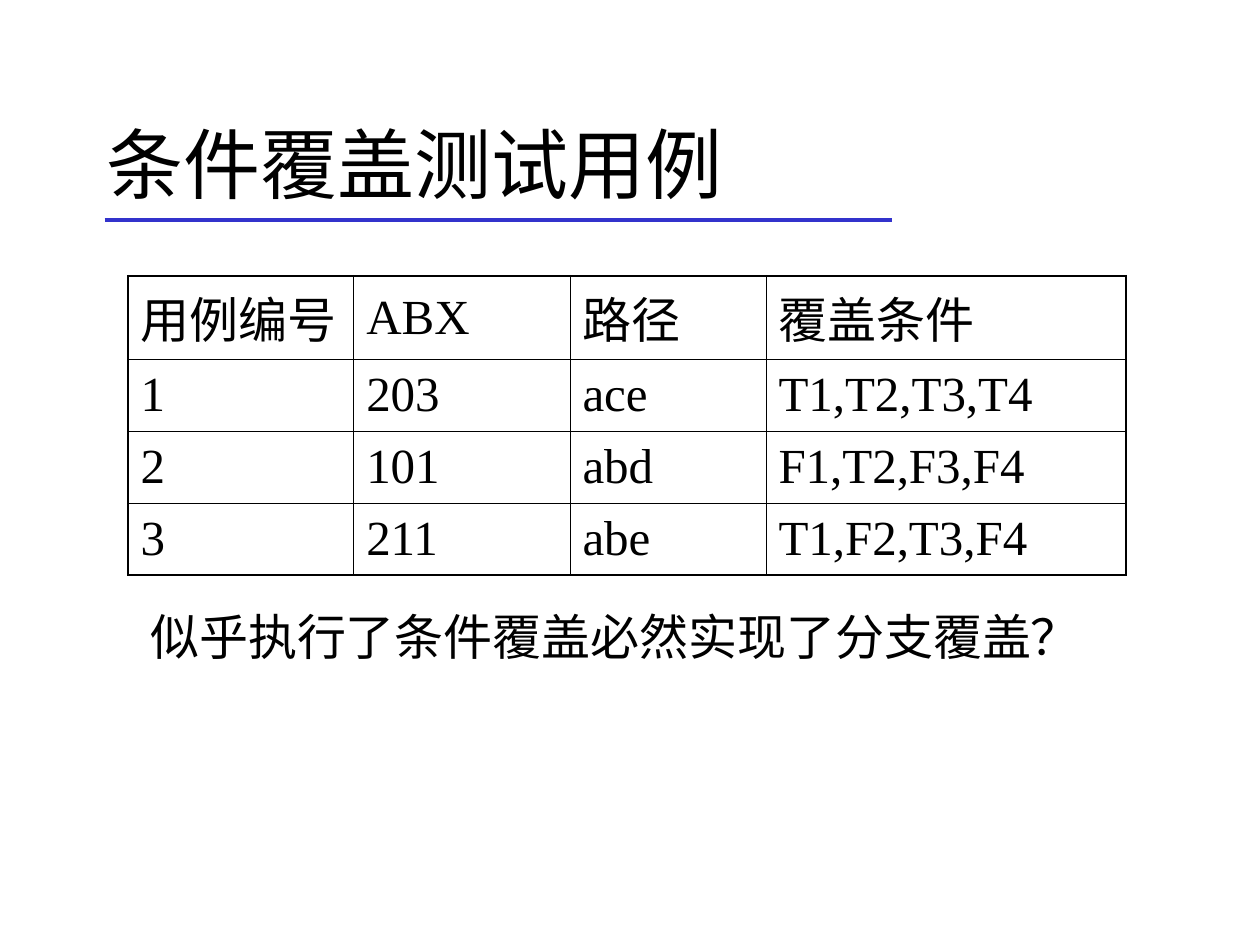
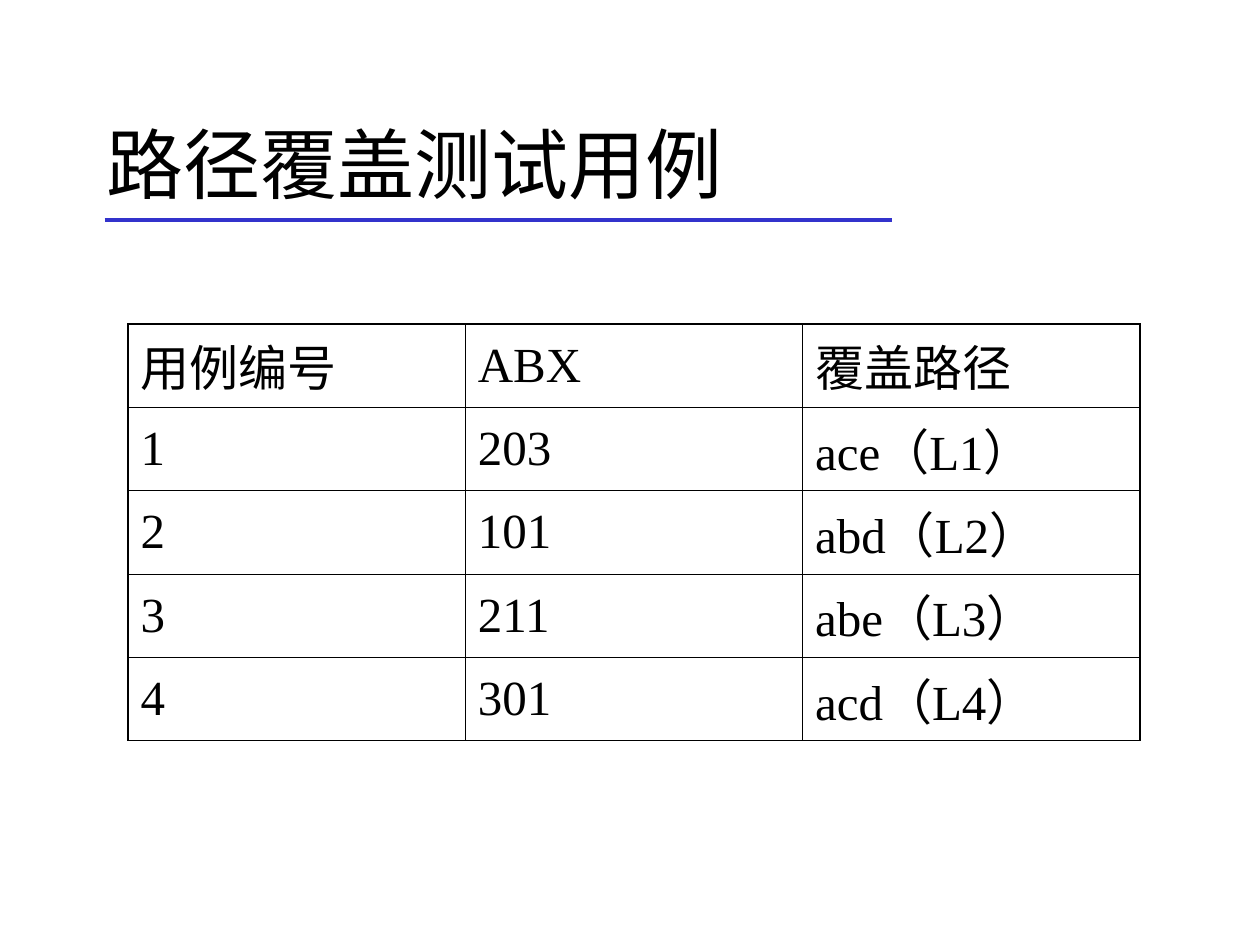
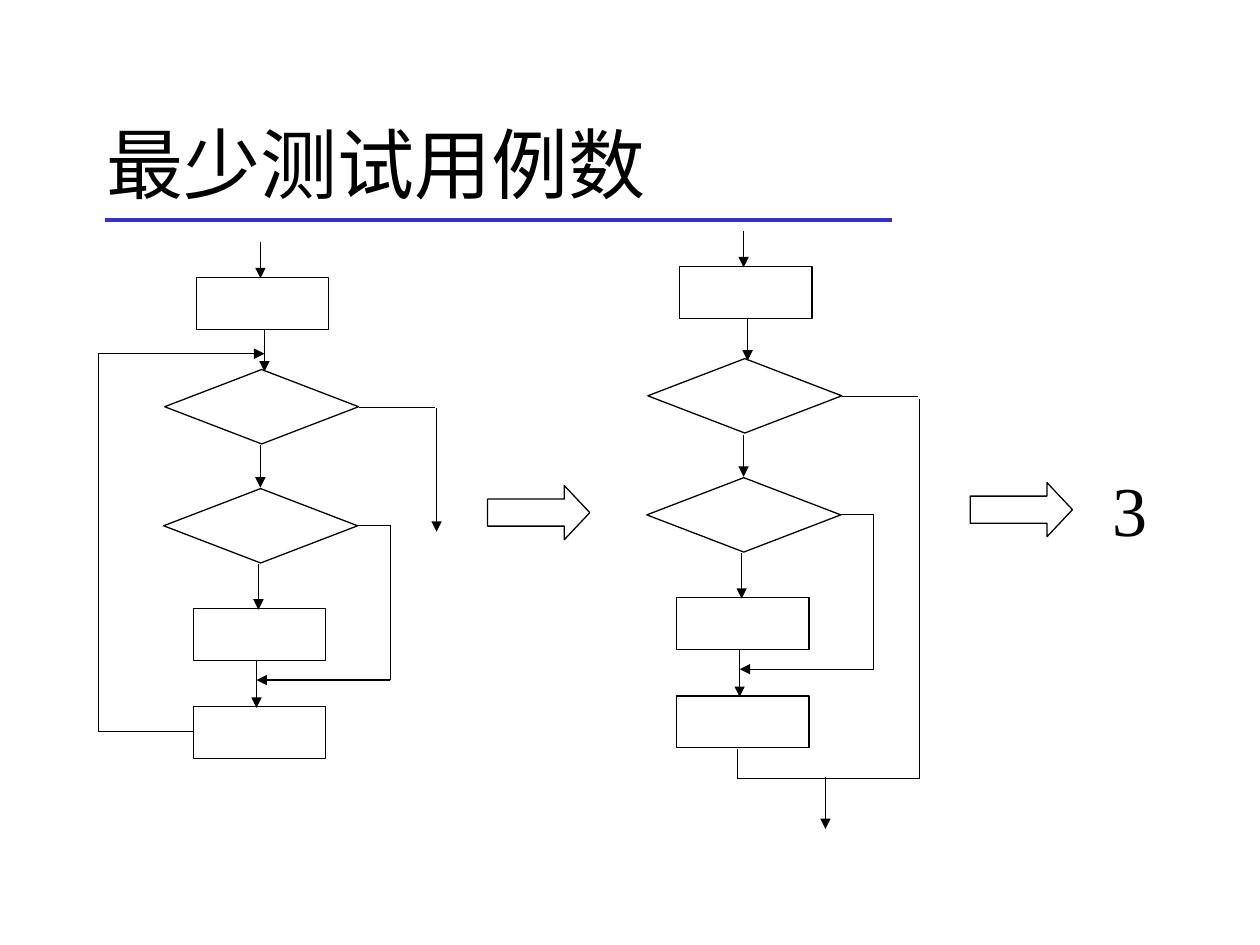
from dataclasses import dataclass

from lxml import etree
from pptx import Presentation
from pptx.dml.color import RGBColor
from pptx.enum.shapes import MSO_CONNECTOR, MSO_SHAPE
from pptx.enum.text import MSO_ANCHOR, PP_ALIGN
from pptx.oxml.ns import qn
from pptx.presentation import Presentation as Deck
from pptx.slide import Slide
from pptx.table import _Cell as Cell
from pptx.text.text import _Paragraph as Para
from pptx.util import Cm, Pt

BLACK = RGBColor(0x00, 0x00, 0x00)
WHITE = RGBColor(0xFF, 0xFF, 0xFF)
BLUE = RGBColor(0x33, 0x33, 0xCC)
SERIF = "Times New Roman"
SANS = "Noto Sans CJK SC"
LINE = MSO_CONNECTOR.STRAIGHT
RECT = MSO_SHAPE.RECTANGLE
DIAMOND = MSO_SHAPE.DIAMOND
ARROW = MSO_SHAPE.RIGHT_ARROW
MIDDLE = MSO_ANCHOR.MIDDLE
TOP = MSO_ANCHOR.TOP
LEFT = PP_ALIGN.LEFT
JUSTIFY = PP_ALIGN.JUSTIFY
THIN, THICK = 0.45, 1.08
LOW, TALL = 1.45, 1.68

Point = tuple[float, float]


@dataclass(frozen=True)
class Box:
    left: float
    top: float
    width: float
    height: float


@dataclass(frozen=True)
class Node:
    kind: MSO_SHAPE
    left: float
    top: float


@dataclass(frozen=True)
class Route:
    """A chain of straight lines, with an arrowhead on the last if tip is set."""
    points: tuple[Point, ...]
    tip: bool = True


@dataclass(frozen=True)
class Grid:
    left: float
    top: float
    cols: tuple[float, ...]
    rows: tuple[tuple[str, ...], ...]


SIZES = {RECT: (2.67, 1.04), DIAMOND: (3.91, 1.5), ARROW: (2.06, 1.09)}
TITLE = Box(1.9, 1.7, 21.6, 3.18)
RULE = Route(((2.11, 4.44), (17.99, 4.44)), tip=False)

TESTS = Grid(2.58, 5.56, (4.55, 4.36, 3.95, 7.26), (
    ("用例编号", "ABX", "路径", "覆盖条件"),
    ("1", "203", "ace", "T1,T2,T3,T4"),
    ("2", "101", "abd", "F1,T2,F3,F4"),
    ("3", "211", "abe", "T1,F2,T3,F4"),
))
PATHS = Grid(2.58, 6.53, (6.8,) * 3, (
    ("用例编号", "ABX", "覆盖路径"),
    ("1", "203", "ace（L1）"),
    ("2", "101", "abd（L2）"),
    ("3", "211", "abe（L3）"),
    ("4", "301", "acd（L4）"),
))

# The flow that both charts share, placed for the left chart
NODES = (
    Node(RECT, 3.96, 5.6),
    Node(DIAMOND, 3.32, 7.45),
    Node(DIAMOND, 3.3, 9.85),
    Node(RECT, 3.9, 12.27),
    Node(RECT, 3.9, 14.25),
)
FLOW = (
    Route(((5.25, 4.87), (5.25, 5.61))),
    Route(((5.33, 6.65), (5.33, 7.49))),
    Route(((5.25, 8.98), (5.25, 9.83))),
    Route(((5.21, 11.36), (5.21, 12.29))),
    Route(((5.17, 13.31), (5.17, 14.27))),
    Route(((7.24, 8.22), (8.76, 8.22)), tip=False),
    Route(((7.21, 10.59), (7.87, 10.59), (7.87, 13.71), (5.17, 13.71))),
)
SHIFT = (9.74, -0.22)
LOOP = (
    Route(((8.8, 8.22), (8.8, 10.72))),
    Route(((3.89, 14.75), (1.98, 14.75), (1.98, 7.13), (5.33, 7.13))),
)
MERGE = (
    Route(((18.54, 8.05), (18.54, 15.7), (14.87, 15.7), (14.87, 15.09)),
          tip=False),
    Route(((16.64, 15.67), (16.64, 16.71))),
)
STEPS = (Node(ARROW, 9.83, 9.79), Node(ARROW, 19.56, 9.73))


def style(para: Para, size: float, face: str) -> None:
    font = para.font
    font.size = Pt(size)
    font.name = face
    font.color.rgb = BLACK
    props = para._p.pPr.find(qn("a:defRPr"))
    etree.SubElement(props, qn("a:ea")).set("typeface", SANS)


def write(slide: Slide, box: Box, text: str, size: float, face: str = SERIF,
          anchor: MSO_ANCHOR = TOP, align: PP_ALIGN = LEFT) -> None:
    frame = slide.shapes.add_textbox(
        Cm(box.left), Cm(box.top), Cm(box.width), Cm(box.height)).text_frame
    frame.word_wrap = True
    frame.vertical_anchor = anchor
    para = frame.paragraphs[0]
    para.text = text
    para.alignment = align
    style(para, size, face)


def trace(slide: Slide, route: Route, color: RGBColor = BLACK,
          width: float = 0.75, shift: Point = (0, 0)) -> None:
    dx, dy = shift
    spots = [(Cm(x + dx), Cm(y + dy)) for x, y in route.points]
    for start, end in zip(spots, spots[1:]):
        link = slide.shapes.add_connector(LINE, *start, *end)
        link.line.color.rgb = color
        link.line.width = Pt(width)
        etree.SubElement(link._element.spPr, qn("a:effectLst"))
    if route.tip:
        head = etree.SubElement(link.line._get_or_add_ln(), qn("a:tailEnd"))
        head.set("type", "triangle")


def place(slide: Slide, node: Node, shift: Point = (0, 0)) -> None:
    width, height = SIZES[node.kind]
    shape = slide.shapes.add_shape(
        node.kind, Cm(node.left + shift[0]), Cm(node.top + shift[1]),
        Cm(width), Cm(height))
    shape.shadow.inherit = False
    shape.fill.background()
    shape.line.color.rgb = BLACK
    shape.line.width = Pt(0.75)
    if node.kind == ARROW:
        shape.adjustments[1] = 0.47


def chart(slide: Slide, extra: tuple[Route, ...],
          shift: Point = (0, 0)) -> None:
    """Draw the shared flow moved by shift, then the routes of this chart."""
    for node in NODES:
        place(slide, node, shift)
    for route in FLOW:
        trace(slide, route, shift=shift)
    for route in extra:
        trace(slide, route)


def border(cell: Cell, edges: dict[str, bool]) -> None:
    """Rule the four sides of a cell, thick where the side is an outer edge."""
    props = cell._tc.get_or_add_tcPr()
    for side, outer in edges.items():
        line = etree.SubElement(props, qn(f"a:ln{side}"))
        line.set("w", str(Pt(THICK if outer else THIN)))
        fill = etree.SubElement(line, qn("a:solidFill"))
        etree.SubElement(fill, qn("a:srgbClr")).set("val", str(BLACK))


def tabulate(slide: Slide, grid: Grid) -> None:
    """Draw a table whose rows are taller where they hold Chinese type."""
    high, wide = len(grid.rows), len(grid.cols)
    sizes = [LOW if "".join(texts).isascii() else TALL for texts in grid.rows]
    table = slide.shapes.add_table(
        high, wide, Cm(grid.left), Cm(grid.top),
        Cm(sum(grid.cols)), Cm(sum(sizes))).table
    table.first_row = table.horz_banding = False
    for col, width in zip(table.columns, grid.cols):
        col.width = Cm(width)
    for r, texts in enumerate(grid.rows):
        table.rows[r].height = Cm(sizes[r])
        for c, text in enumerate(texts):
            cell = table.cell(r, c)
            cell.text = text
            cell.vertical_anchor = MIDDLE
            style(cell.text_frame.paragraphs[0], 28, SERIF)
            border(cell, {"L": c == 0, "R": c == wide - 1,
                          "T": r == 0, "B": r == high - 1})
            cell.fill.background()


def start(deck: Deck, title: str, face: str = SANS) -> Slide:
    """Add a slide with the shared background, rule and title."""
    slide = deck.slides.add_slide(deck.slide_layouts[6])
    slide.background.fill.solid()
    slide.background.fill.fore_color.rgb = WHITE
    trace(slide, RULE, BLUE, 2.25)
    write(slide, TITLE, title, 44, face, MIDDLE)
    return slide


def main() -> None:
    deck = Presentation()
    deck.slide_width, deck.slide_height = Cm(25.4), Cm(19.05)

    slide = start(deck, "条件覆盖测试用例")
    tabulate(slide, TESTS)
    write(slide, Box(2.78, 12.1, 19.63, 1.45),
          "似乎执行了条件覆盖必然实现了分支覆盖？", 28, align=JUSTIFY)

    slide = start(deck, "路径覆盖测试用例", SERIF)
    tabulate(slide, PATHS)

    slide = start(deck, "最少测试用例数")
    chart(slide, LOOP)
    chart(slide, MERGE, SHIFT)
    for step in STEPS:
        place(slide, step)
    write(slide, Box(22.17, 9.28, 2.62, 1.96), "3", 40, align=JUSTIFY)

    deck.save("out.pptx")


if __name__ == "__main__":
    main()
